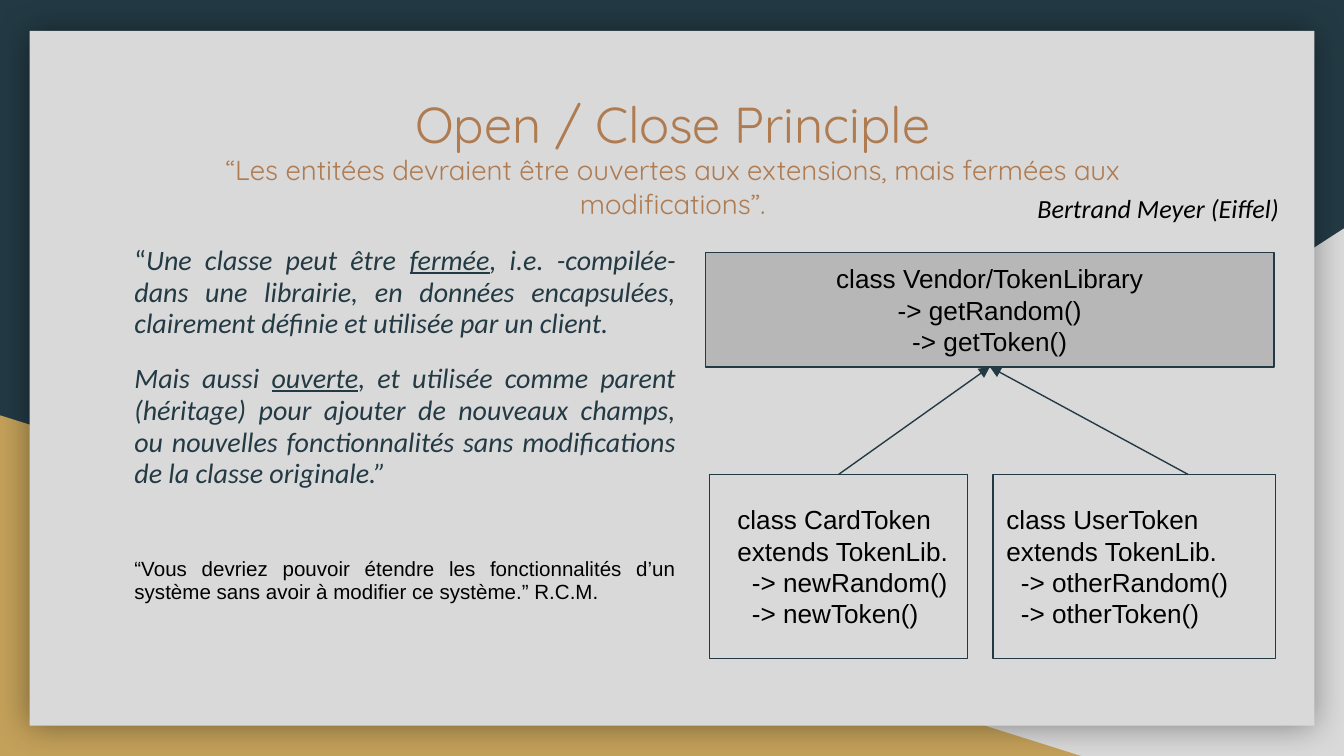
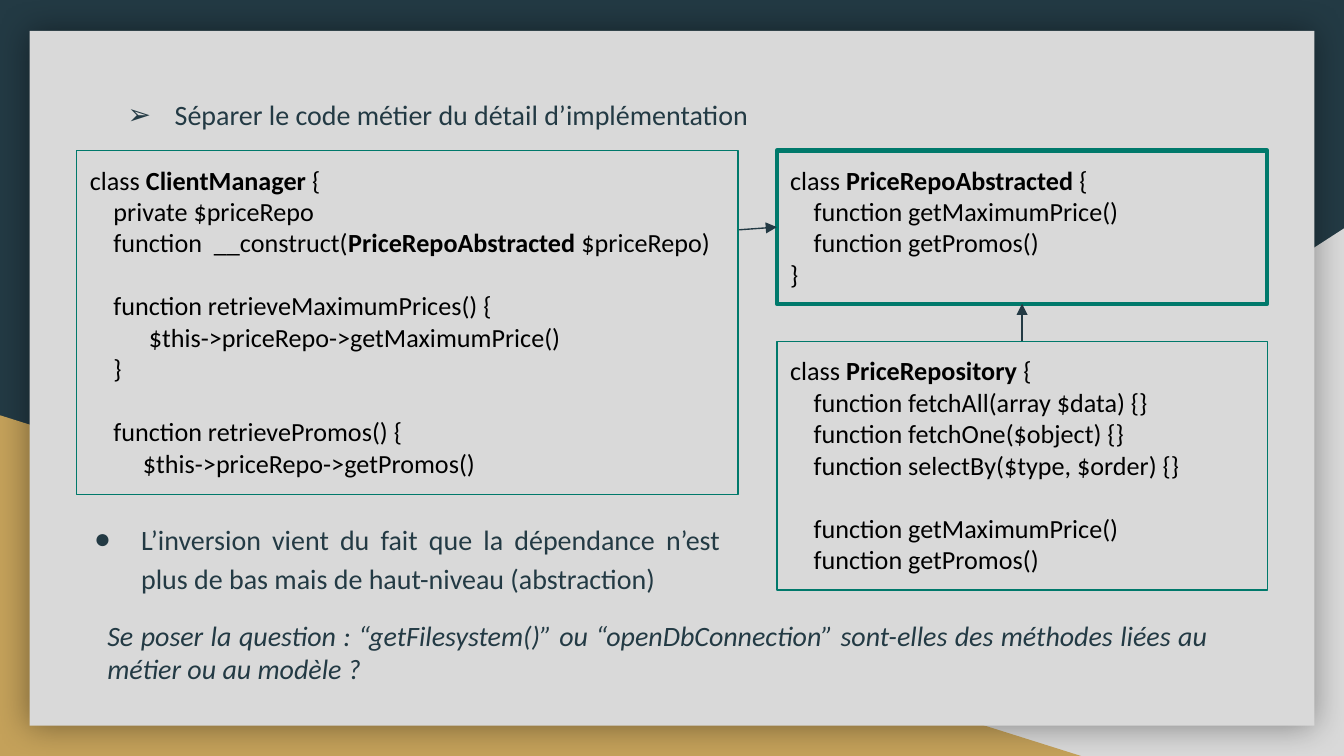
from lxml import etree
from pptx import Presentation
from pptx.dml.color import RGBColor
from pptx.enum.shapes import MSO_CONNECTOR, MSO_SHAPE
from pptx.enum.text import MSO_ANCHOR, MSO_AUTO_SIZE, PP_ALIGN
from pptx.oxml import parse_xml
from pptx.oxml.ns import nsdecls, qn
from pptx.util import Inches, Pt

NAVY = RGBColor(0x23, 0x3A, 0x44)
GOLD = RGBColor(0xC4, 0xA1, 0x5A)
PAPER = RGBColor(0xD9, 0xD9, 0xD9)
GREY = RGBColor(0xB7, 0xB7, 0xB7)
COPPER = RGBColor(0xAF, 0x7B, 0x51)
TEAL = RGBColor(0x00, 0x79, 0x6B)
BLACK = RGBColor(0, 0, 0)

TOP, LEFT, BOTTOM = 0, 1, 2
CODE_LINE = 17


class Deck:
    def __init__(self):
        self.prs = Presentation()
        self.prs.slide_width = Inches(10)
        self.prs.slide_height = Inches(10 * 9 / 16)
        self.slide = None

    def new_slide(self, layout):
        self.slide = self.prs.slides.add_slide(self.prs.slide_layouts[layout])

    def backdrop(self):
        master = self.prs.slide_master
        master.background.fill.solid()
        master.background.fill.fore_color.rgb = NAVY
        right = self.shape((3.92, 1.7, 6.08, 3.93), PAPER, kind=MSO_SHAPE.RIGHT_TRIANGLE)
        right._element.spPr.find(qn("a:xfrm")).set("flipH", "1")
        left = self.shape((0, 3.09, 8.06, 2.54), GOLD, kind=MSO_SHAPE.RIGHT_TRIANGLE)
        sheet = self.shape((0.22, 0.23, 9.56, 5.17), PAPER)
        effects = sheet._element.spPr.find(qn("a:effectLst"))
        effects.append(parse_xml(
            f'<a:outerShdw {nsdecls("a")} blurRad="{Pt(18)}" dist="0" algn="ctr" rotWithShape="0">'
            '<a:srgbClr val="000000"><a:alpha val="40000"/></a:srgbClr></a:outerShdw>'))
        for i, sp in enumerate((right, left, sheet)):
            sp._element.nvSpPr.cNvPr.set("id", str(100 + i))
            master.shapes._spTree.insert(2 + i, sp._element)

    def placeholder(self, idx, at):
        sp = self.slide.placeholders[idx]
        sp.left, sp.top, sp.width, sp.height = (Inches(v) for v in at)
        self.frame(sp)
        return sp.text_frame

    def drop_title(self):
        el = self.slide.shapes.title._element
        el.getparent().remove(el)

    def text_box(self, at):
        sp = self.slide.shapes.add_textbox(*(Inches(v) for v in at))
        self.frame(sp)
        return sp.text_frame

    def shape(self, at, fill=None, line=None, weight=0.75, kind=MSO_SHAPE.RECTANGLE):
        sp = self.slide.shapes.add_shape(kind, *(Inches(v) for v in at))
        sp.shadow.inherit = False
        if fill is None:
            sp.fill.background()
        else:
            sp.fill.solid()
            sp.fill.fore_color.rgb = fill
        if line is None:
            sp.line.fill.background()
        else:
            sp.line.color.rgb = line
            sp.line.width = Pt(weight)
        return sp

    def frame(self, sp, anchor=MSO_ANCHOR.TOP):
        tf = sp.text_frame
        tf.word_wrap = True
        tf.auto_size = MSO_AUTO_SIZE.NONE
        tf.vertical_anchor = anchor
        tf.margin_left = tf.margin_right = tf.margin_top = tf.margin_bottom = Inches(0.1)

    def paragraph(self, tf, text, size, font, color, align=PP_ALIGN.LEFT, before=0, after=0,
                  spacing=1.0, italic=False, emphasis="bold", bullet=None):
        p = tf.paragraphs[0] if not tf.text else tf.add_paragraph()
        pPr = p._p.get_or_add_pPr()
        pPr.set("marL", str(Inches(0.5) if bullet else 0))
        pPr.set("indent", str(Inches(-0.35) if bullet else 0))
        if bullet:
            etree.SubElement(pPr, qn("a:buChar")).set("char", bullet)
        else:
            etree.SubElement(pPr, qn("a:buNone"))
        p.alignment = align
        p.line_spacing = spacing
        p.space_before, p.space_after = Pt(before), Pt(after)
        for i, part in enumerate(text.split("*")):
            if not part:
                continue
            r = p.add_run()
            r.text = part
            r.font.size, r.font.name, r.font.italic = Pt(size), font, italic
            r.font.color.rgb = color
            if i % 2:
                setattr(r.font, emphasis, True)
        return p

    def diagram_box(self, at, lines, fill=PAPER, align=PP_ALIGN.LEFT):
        sp = self.shape(at, fill, NAVY)
        self.frame(sp, MSO_ANCHOR.MIDDLE)
        for line in lines:
            self.paragraph(sp.text_frame, line, 14, "Arial", BLACK, align)
        return sp

    def code_box(self, at, blocks, weight=0.75):
        sp = self.shape(at, None, TEAL, weight)
        self.frame(sp)
        for b, block in enumerate(blocks):
            for i, line in enumerate(block):
                gap = CODE_LINE if b and i == 0 else 0
                self.paragraph(sp.text_frame, line, 14, "Calibri", BLACK, before=gap)
        return sp

    def bullet_point(self, idx, at, text, mark):
        self.paragraph(self.placeholder(idx, at), text, 15, "Calibri", NAVY,
                       PP_ALIGN.JUSTIFY, spacing=1.15, bullet=mark)

    def arrow(self, target, side, source=None, start=(0, 0)):
        x, y = (Inches(v) for v in start)
        c = self.slide.shapes.add_connector(MSO_CONNECTOR.STRAIGHT, x, y, x, y)
        if source is not None:
            c.begin_connect(source, TOP)
        c.end_connect(target, side)
        c.line.color.rgb = NAVY
        c.line.width = Pt(0.75)
        etree.SubElement(c.line._get_or_add_ln(), qn("a:tailEnd")).set("type", "triangle")
        etree.SubElement(c._element.spPr, qn("a:effectLst"))


def open_close_slide(deck):
    title = deck.placeholder(0, (0.9, 0.59, 8.21, 1.04))
    for text, size in (
            ("Open / Close Principle", 27),
            ("“Les entitées devraient être ouvertes aux extensions, "
             "mais fermées aux modifications”.", 14.8)):
        deck.paragraph(title, text, size, "Quicksand", COPPER, PP_ALIGN.CENTER)

    body = deck.placeholder(1, (0.9, 1.72, 4.23, 3.17))
    quote = dict(size=15, font="Calibri", color=NAVY, align=PP_ALIGN.JUSTIFY,
                 spacing=0.95, italic=True, emphasis="underline")
    p = deck.paragraph(
        body, "“**Une classe peut être *fermée*, i.e. -compilée- dans une librairie, en données "
        "encapsulées, clairement définie et utilisée par un client.", **quote)
    p.runs[0].font.italic = False
    deck.paragraph(
        body, "Mais aussi *ouverte*, et utilisée comme parent (héritage) pour ajouter de nouveaux "
        "champs, ou nouvelles fonctionnalités sans modifications de la classe originale.”",
        before=12, **quote)
    deck.paragraph(
        body, "“Vous devriez pouvoir étendre les fonctionnalités d’un système sans avoir à "
        "modifier ce système.” R.C.M.", 11, "Arial", BLACK, PP_ALIGN.JUSTIFY,
        before=36, after=12, spacing=0.95)

    vendor = deck.diagram_box(
        (5.25, 1.88, 4.23, 0.85),
        ["class Vendor/TokenLibrary", "-> getRandom()", "-> getToken()"],
        GREY, PP_ALIGN.CENTER)
    card = deck.diagram_box(
        (5.28, 3.53, 1.92, 1.37),
        ["  class CardToken", "  extends TokenLib.", "    -> newRandom()", "    -> newToken()"])
    deck.diagram_box(
        (7.39, 3.53, 2.1, 1.37),
        ["class UserToken", "extends TokenLib.", "  -> otherRandom()", "  -> otherToken()"])
    deck.arrow(vendor, BOTTOM, source=card)
    deck.arrow(vendor, BOTTOM, start=(8.84, 3.53))

    author = deck.text_box((7.62, 1.33, 2.2, 0.44))
    deck.paragraph(author, "Bertrand Meyer (Eiffel)", 14, "Calibri", BLACK, italic=True)


def inversion_slide(deck):
    deck.drop_title()
    deck.bullet_point(1, (0.7, 0.59, 8.39, 0.45),
                      "Séparer le code métier du détail d’implémentation", "➢")
    deck.bullet_point(2, (0.45, 3.75, 5.01, 0.74),
                      "L’inversion vient du fait que la dépendance n’est plus de bas mais de "
                      "haut-niveau (abstraction)", "●")

    getters = ["    function getMaximumPrice()", "    function getPromos()"]
    deck.code_box((0.57, 1.12, 4.92, 2.56), [
        ["class *ClientManager *{",
         "    private $priceRepo",
         "    function  __construct(*PriceRepoAbstracted* $priceRepo)"],
        ["    function retrieveMaximumPrices() {",
         "          $this->priceRepo->getMaximumPrice()",
         "    }"],
        ["    function retrievePromos() {",
         "         $this->priceRepo->getPromos()"]])
    abstracted = deck.code_box((5.78, 1.12, 3.65, 1.14),
                               [["class *PriceRepoAbstracted *{", *getters, "}"]], 2.25)
    repository = deck.code_box((5.78, 2.54, 3.65, 1.85), [
        ["class *PriceRepository *{",
         "    function fetchAll(array $data) {}",
         "    function fetchOne($object) {}",
         "    function selectBy($type, $order) {}"],
        getters])
    deck.arrow(abstracted, BOTTOM, source=repository)
    deck.arrow(abstracted, LEFT, start=(5.5, 1.71))

    question = deck.text_box((0.7, 4.5, 8.39, 0.71))
    deck.paragraph(question, "Se poser la question : “getFilesystem()” ou “openDbConnection” "
                   "sont-elles des méthodes liées au métier ou au modèle ?",
                   15, "Calibri", NAVY, PP_ALIGN.JUSTIFY, after=12, italic=True)


def main():
    deck = Deck()
    deck.new_slide(1)
    deck.backdrop()
    open_close_slide(deck)
    deck.new_slide(3)
    inversion_slide(deck)
    deck.prs.save("out.pptx")


if __name__ == "__main__":
    main()
